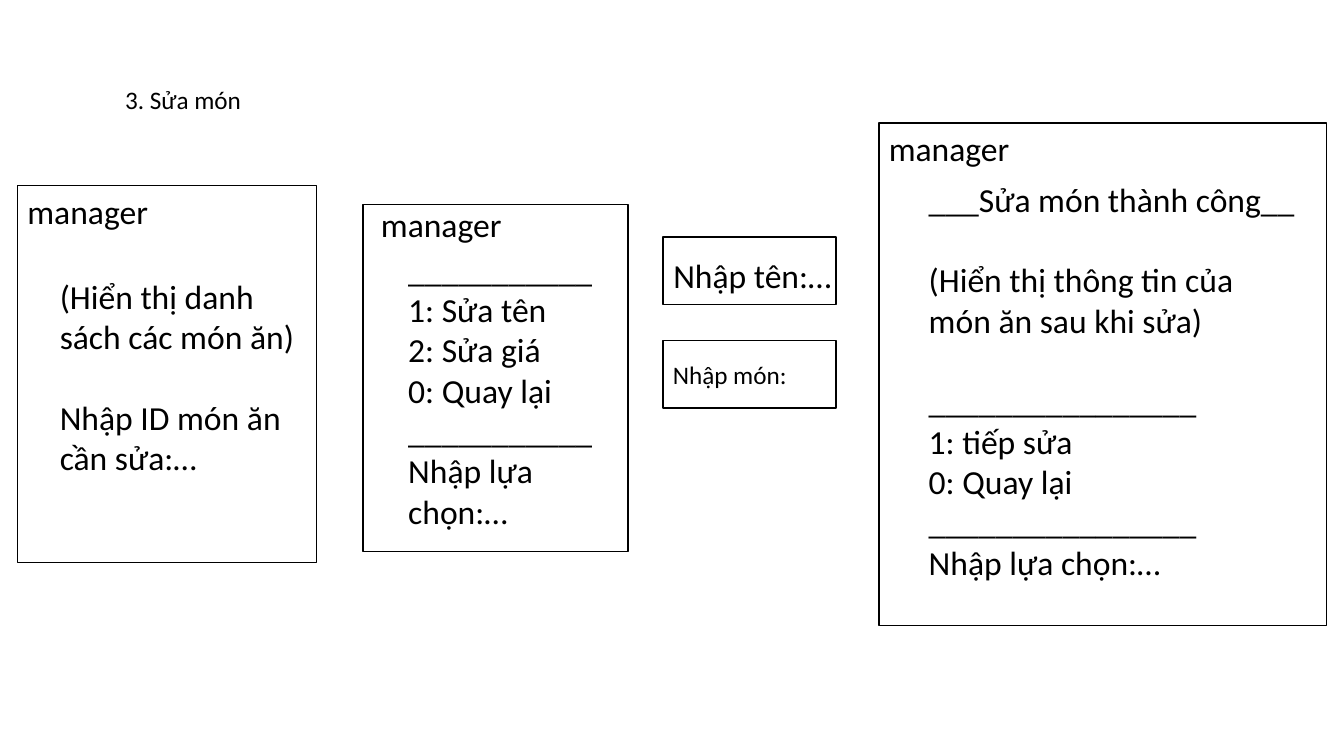
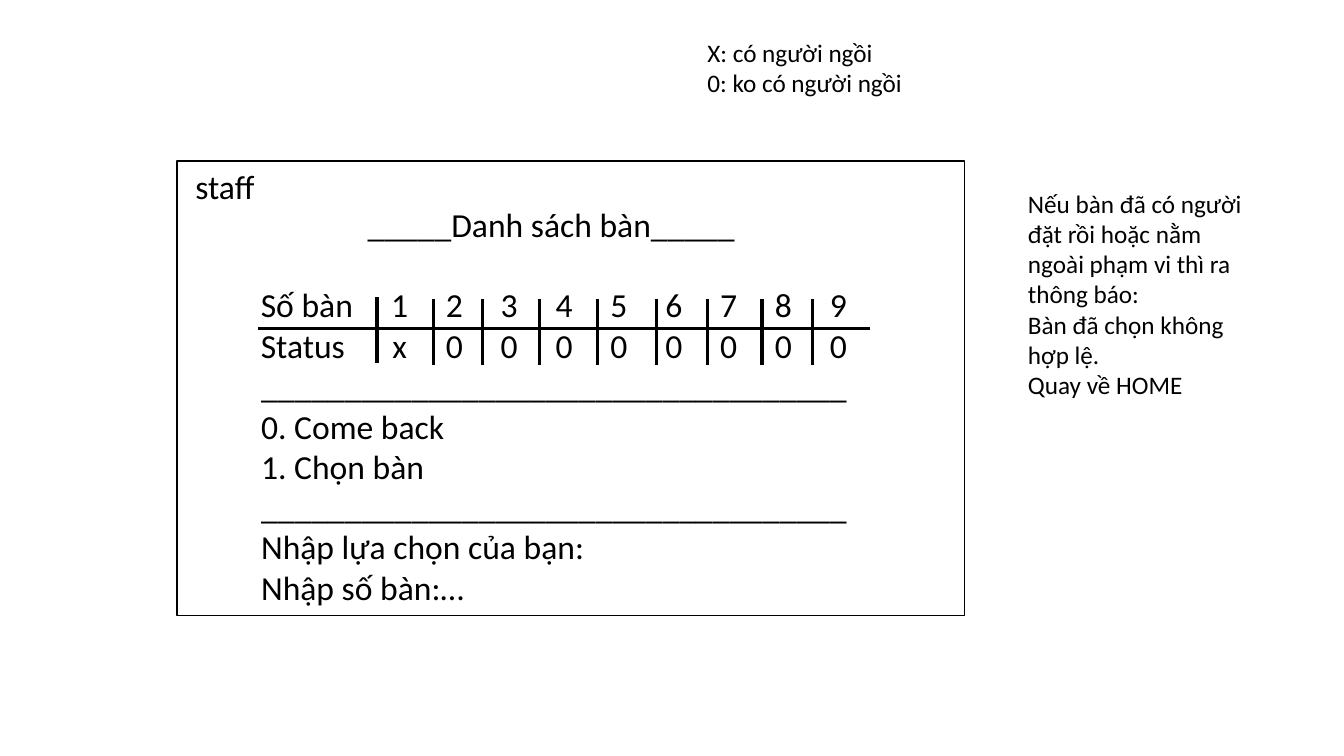
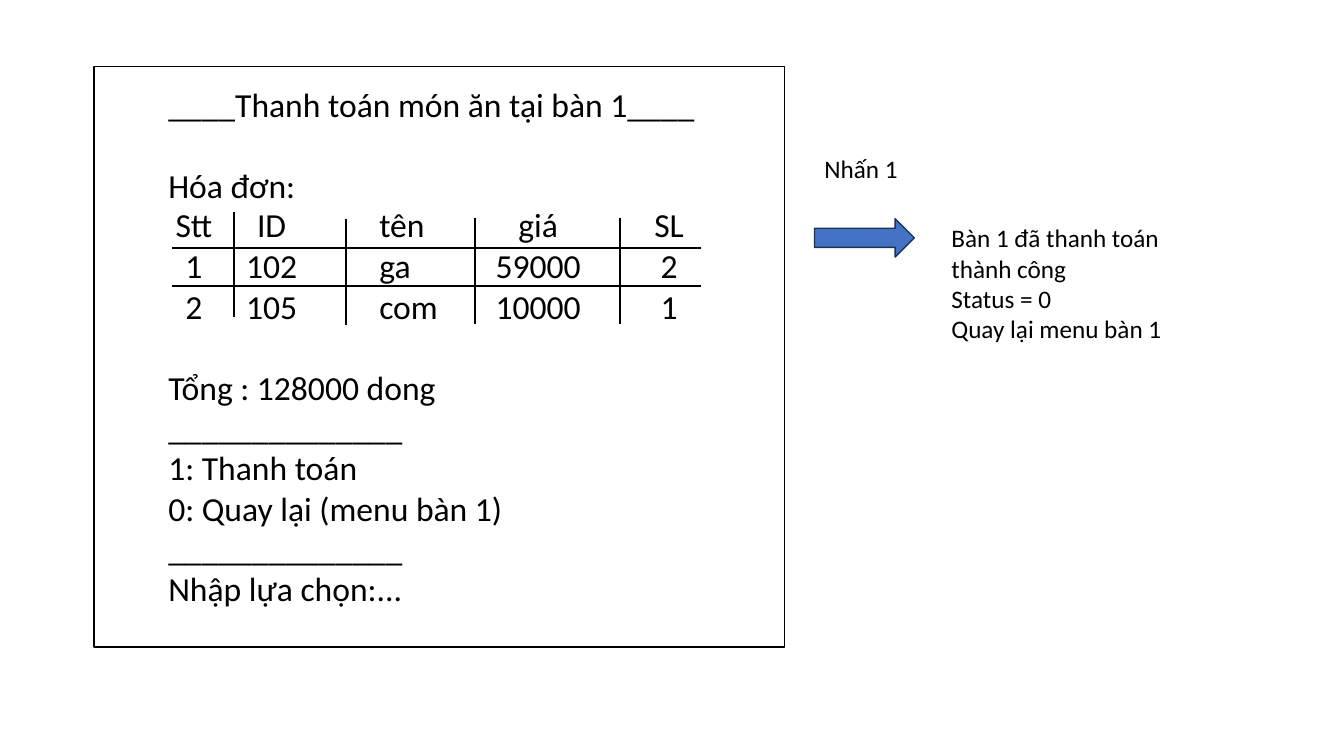
"""Build three slides that sketch the screens of a restaurant console app."""
from dataclasses import dataclass, field

from lxml import etree
from pptx import Presentation
from pptx.dml.color import RGBColor
from pptx.enum.shapes import MSO_CONNECTOR, MSO_SHAPE
from pptx.enum.text import MSO_ANCHOR, MSO_AUTO_SIZE, PP_ALIGN
from pptx.oxml.ns import qn
from pptx.util import Pt

RECT, ARROW = MSO_SHAPE.RECTANGLE, MSO_SHAPE.RIGHT_ARROW
STRAIGHT = MSO_CONNECTOR.STRAIGHT
TOP, MIDDLE = MSO_ANCHOR.TOP, MSO_ANCHOR.MIDDLE
LEFT, CENTER = PP_ALIGN.LEFT, PP_ALIGN.CENTER
FIXED = MSO_AUTO_SIZE.NONE
FONT, BLACK, WHITE = "Calibri", "000000", "FFFFFF"
BLUE, NAVY = "4472C4", "1E3256"
BIG, SMALL, LEAD = 24, 18, 1.2
ONE, MANY = 1, 4


@dataclass
class Area:
    """A place on the slide, in points."""
    left: float
    top: float
    width: float
    height: float


@dataclass
class Note:
    """Lines of text; gaps maps a line's index to the empty rows above it."""
    area: Area
    lines: list[str]
    size: float = BIG
    gaps: dict[int, int] = field(default_factory=dict)


@dataclass
class Col:
    """A table column: width, side margins and alignment."""
    width: float
    left: float = 0
    right: float = 0
    align: PP_ALIGN = CENTER


def tint(code: str) -> RGBColor:
    """Turn a hex string into a colour."""
    return RGBColor.from_string(code)


def style(para, size: float) -> None:
    """Give a paragraph the shared font."""
    font = para.font
    font.name, font.size, font.bold = FONT, Pt(size), False
    font.color.rgb = tint(BLACK)


def write(shape, note: Note, anchor: MSO_ANCHOR = TOP) -> None:
    """Fill a shape with the lines of a note."""
    frame = shape.text_frame
    frame.text = "\n".join(note.lines)
    frame.word_wrap, frame.auto_size = True, FIXED
    frame.vertical_anchor = anchor
    for row, para in enumerate(frame.paragraphs):
        para.alignment = LEFT
        para.space_before = Pt(note.gaps.get(row, 0) * note.size * LEAD)
        props = para._p.get_or_add_pPr()
        props.set("marL", "0")
        props.set("indent", "0")
        etree.SubElement(props, qn("a:buNone"))
        style(para, note.size)


def sides(area: Area) -> tuple:
    """Give the lengths of an area as the shape methods take them."""
    return Pt(area.left), Pt(area.top), Pt(area.width), Pt(area.height)


def label(slide, note: Note) -> None:
    """Add a text box."""
    write(slide.shapes.add_textbox(*sides(note.area)), note)


def panel(slide, area: Area, kind: MSO_SHAPE = RECT,
          fill: str = WHITE, edge: str = BLACK):
    """Add an outlined shape."""
    shape = slide.shapes.add_shape(kind, *sides(area))
    shape.shadow.inherit = False
    shape.fill.solid()
    shape.fill.fore_color.rgb = tint(fill)
    shape.line.color.rgb = tint(edge)
    shape.line.width = Pt(1)
    return shape


def rule(slide, area: Area, weight: float) -> None:
    """Add a line across an area of no width or no height."""
    left, top, width, height = sides(area)
    line = slide.shapes.add_connector(
        STRAIGHT, left, top, left + width, top + height)
    line.line.color.rgb = tint(BLACK)
    line.line.width = Pt(weight)
    etree.SubElement(line._element.spPr, qn("a:effectLst"))


def page(deck, panels: list[Area], title: Note, lists: list[Note]):
    """Add a slide with its panels, title and lists."""
    layout = deck.slide_layouts[ONE if len(lists) == 1 else MANY]
    slide = deck.slides.add_slide(layout)
    holders = list(slide.placeholders)
    for area in panels:
        panel(slide, area)
    notes = [title, *lists]
    for shape, note in zip(holders, notes):
        shape.left, shape.top, shape.width, shape.height = sides(note.area)
        write(shape, note)
        shape.element.getparent().append(shape.element)
    for shape in holders[len(notes):]:
        shape.element.getparent().remove(shape.element)
    return slide


def grid(slide, left: float, top: float, cols: list[Col],
         rows: list[list[str]]) -> None:
    """Add a table without borders."""
    step = BIG * LEAD
    area = Area(left, top, sum(col.width for col in cols), step * len(rows))
    table = slide.shapes.add_table(len(rows), len(cols), *sides(area)).table
    table.first_row = table.horz_banding = False
    for col, part in zip(cols, table.columns):
        part.width = Pt(col.width)
    for y, row in enumerate(rows):
        table.rows[y].height = Pt(step)
        for x, (col, text) in enumerate(zip(cols, row)):
            cell = table.cell(y, x)
            cell.margin_left, cell.margin_right = Pt(col.left), Pt(col.right)
            cell.margin_top = cell.margin_bottom = 0
            for side in "LRTB":
                edge = etree.SubElement(cell._tc.get_or_add_tcPr(),
                                        qn(f"a:ln{side}"))
                etree.SubElement(edge, qn("a:noFill"))
            cell.fill.background()
            cell.text = text
            para = cell.text_frame.paragraphs[0]
            para.alignment = col.align
            style(para, BIG)


def edit(deck) -> None:
    """Draw the screens for editing a dish."""
    dash, wide = "_" * 11, "_" * 16
    slide = page(
        deck,
        [Area(12.5, 132.5, 213.8, 269.3), Area(259.2, 146.2, 189.4, 247.7),
         Area(627.8, 88, 319.7, 358.6), Area(473.5, 169.2, 123.8, 48.2)],
        Note(Area(82.1, 56.5, 170.6, 28.8), ["3. Sửa món"], SMALL),
        [Note(Area(35.5, 193.5, 193.7, 152.6),
              ["(Hiển thị danh sách các món ăn)",
               "Nhập ID món ăn cần sửa:…"], gaps={1: 1}),
         Note(Area(284.4, 174, 164.2, 211),
              [dash, "1: Sửa tên", "2: Sửa giá", "0: Quay lại", dash,
               "Nhập lựa chọn:…"]),
         Note(Area(656.2, 124, 280.1, 298),
              ["___Sửa món thành công__",
               "(Hiển thị thông tin của món ăn sau khi sửa)", wide,
               "1: tiếp sửa", "0: Quay lại", wide, "Nhập lựa chọn:…"],
              gaps={1: 1, 2: 1})])
    label(slide, Note(Area(473.8, 178.6, 212.4, 36), ["Nhập tên:…"]))
    for left, top in ((12.5, 132.5), (265, 141.8), (627.8, 87.8)):
        label(slide, Note(Area(left, top, 110, 36), ["manager"]))
    dish = Note(Area(473.5, 243.4, 123.8, 48.2), ["Nhập món:"], SMALL)
    write(panel(slide, dish.area), dish, MIDDLE)


def seats(deck) -> None:
    """Draw the screen that lists the tables."""
    dash = "_" * 35
    slide = page(
        deck, [Area(126.5, 115, 562.3, 324.7)],
        Note(Area(255.4, 141.8, 290, 36), ["_____Danh sách bàn_____"]),
        [Note(Area(179.3, 257.2, 446.4, 182),
              [dash, "0. Come back", "1. Chọn bàn", dash,
               "Nhập lựa chọn của bạn:", "Nhập số bàn:…"])])
    grid(slide, 184.3, 204.2, [Col(85, 2, 0, LEFT)] + [Col(39.2, 0, 7)] * 9,
         [["Số bàn", *"123456789"], ["Status", "x", *"00000000"]])
    rule(slide, Area(269.3, 212.4, 0, 46.8), 2.25)
    for left in (309.6, 344.9, 385.2, 427, 468.7, 505.4, 544.3, 580.3):
        rule(slide, Area(left, 213.8, 0, 46.8), 2.25)
    rule(slide, Area(184.3, 234.7, 437, 0), 2.25)
    label(slide, Note(Area(132.5, 115.2, 70, 36), ["staff"]))
    label(slide, Note(Area(498.2, 23, 159.8, 51),
                      ["X: có người ngồi", "0: ko có người ngồi"], SMALL))
    label(slide, Note(Area(727.2, 130.8, 181.4, 160),
                      ["Nếu bàn đã có người đặt rồi hoặc nằm ngoài phạm vi "
                       "thì ra thông báo:", "Bàn đã chọn không hợp lệ.",
                       "Quay về HOME"], SMALL))


def bill(deck) -> None:
    """Draw the screen for paying a bill."""
    dash = "_" * 14
    slide = page(
        deck, [Area(67, 47.5, 493.2, 414.7)],
        Note(Area(113, 56, 419.8, 36),
             ["____Thanh toán món ăn tại bàn 1____"]),
        [Note(Area(113, 114.2, 419.8, 327),
              ["Hóa đơn:", "Tổng : 128000 dong", dash, "1: Thanh toán",
               "0: Quay lại (menu bàn 1)", dash, "Nhập lựa chọn:..."],
              gaps={1: 4})])
    cols = [Col(44, 0, 13), Col(80, 0, 26), Col(92, 24, 0, LEFT),
            Col(104, 0, 13), Col(57, 13)]
    grid(slide, 123, 147, cols,
         [["Stt", "ID", "tên", "giá", "SL"],
          ["1", "102", "ga", "59000", "2"],
          ["2", "105", "com", "10000", "1"]])
    for left, top in ((167, 151.2), (247, 156.2),
                      (339.1, 155.5), (442.8, 155.5)):
        rule(slide, Area(left, top, 0, 75.6), 1.5)
    for top in (177.1, 204.5):
        rule(slide, Area(123.1, top, 377.3, 0), 1.5)
    label(slide, Note(Area(672.5, 155.5, 187.2, 94.3),
                      ["Bàn 1 đã thanh toán thành công", "Status = 0",
                       "Quay lại menu bàn 1"], SMALL))
    panel(slide, Area(581.8, 156.2, 71.3, 27.4), ARROW, BLUE, NAVY)
    label(slide, Note(Area(581.8, 105.8, 71.3, 28.8), ["Nhấn 1"], SMALL))


def main() -> None:
    """Build and save the deck."""
    deck = Presentation()
    deck.slide_width, deck.slide_height = Pt(960), Pt(540)
    for draw in (edit, seats, bill):
        draw(deck)
    deck.save("out.pptx")


main()
